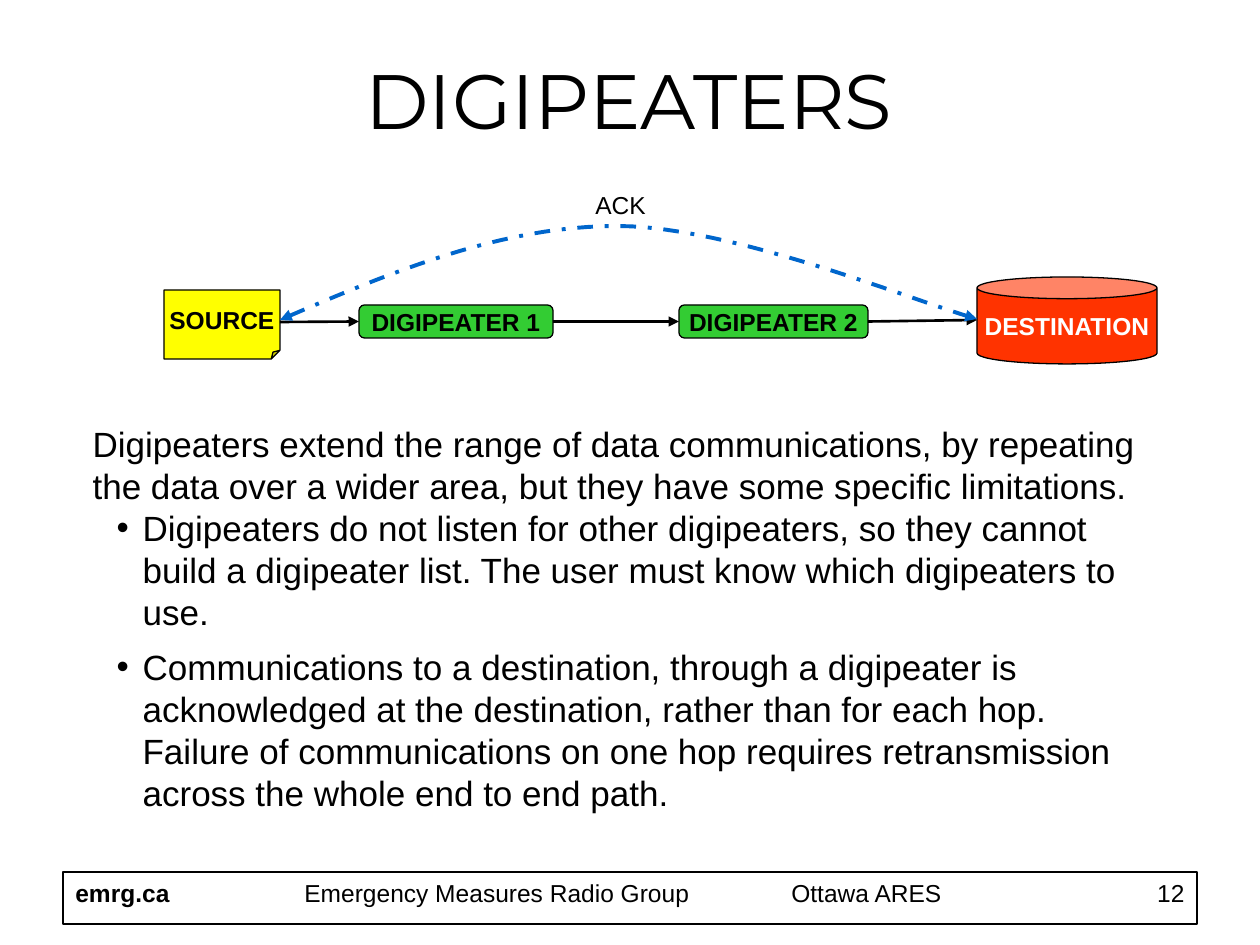
from lxml import etree
from pptx import Presentation
from pptx.dml.color import RGBColor
from pptx.enum.dml import MSO_LINE
from pptx.enum.shapes import MSO_CONNECTOR, MSO_SHAPE
from pptx.enum.text import MSO_ANCHOR, MSO_AUTO_SIZE, PP_ALIGN
from pptx.oxml.ns import qn
from pptx.util import Pt

EMU_PER_PX = 914400 / 126
LEFT, CENTER, RIGHT = PP_ALIGN.LEFT, PP_ALIGN.CENTER, PP_ALIGN.RIGHT
TOP, MIDDLE = MSO_ANCHOR.TOP, MSO_ANCHOR.MIDDLE
NO_AUTOFIT = MSO_AUTO_SIZE.NONE
STRAIGHT = MSO_CONNECTOR.STRAIGHT
DASH_DOT = MSO_LINE.DASH_DOT
RECTANGLE, ROUNDED = MSO_SHAPE.RECTANGLE, MSO_SHAPE.ROUNDED_RECTANGLE
CAN, FOLDED = MSO_SHAPE.CAN, MSO_SHAPE.FOLDED_CORNER
LEFT_SIDE, RIGHT_SIDE = 1, 3
CURVE_STEPS = 24

LABEL = {"name": "Arial", "size": Pt(14), "bold": False}
STRONG = {**LABEL, "bold": True}
BODY = {**LABEL, "size": Pt(20)}
HEADING = {**LABEL, "name": "Montserrat", "size": Pt(44)}

NODES = [
    ("SOURCE", FOLDED, (164, 290, 116, 69), "FFFF00", "000000"),
    ("DIGIPEATER 1", ROUNDED, (359, 305, 194, 33), "33CC33", "000000"),
    ("DIGIPEATER 2", ROUNDED, (679, 305, 189, 33), "33CC33", "000000"),
    ("DESTINATION", CAN, (977, 277, 180, 87), "FF3300", "FFFFFF"),
]
ACK_CURVES = [
    [(280, 320), (389, 273), (500, 226), (617, 226)],
    [(617, 226), (733, 226), (916, 302), (977, 319)],
]
INTRODUCTION = (
    "Digipeaters extend the range of data communications, by repeating the data "
    "over a wider area, but they have some specific limitations."
)
LISTENING = (
    "Digipeaters do not listen for other digipeaters, so they cannot build a "
    "digipeater list. The user must know which digipeaters to use."
)
ACKNOWLEDGEMENT = (
    "Communications to a destination, through a digipeater is acknowledged at the "
    "destination, rather than for each hop. Failure of communications on one hop "
    "requires retransmission across the whole end to end path."
)


def px(length):
    return round(length * EMU_PER_PX)


def color(value):
    return RGBColor.from_string(value)


def place(shape, box):
    for name, length in zip(("left", "top", "width", "height"), box):
        setattr(shape, name, px(length))


def set_frame(frame, anchor=TOP, wrap=True):
    values = {
        "auto_size": NO_AUTOFIT, "word_wrap": wrap, "vertical_anchor": anchor,
        "margin_left": px(12.6), "margin_right": px(12.6),
        "margin_top": px(6.3), "margin_bottom": px(6.3),
    }
    for name, value in values.items():
        setattr(frame, name, value)


def format_paragraph(paragraph, text, font, ink="000000", align=LEFT):
    paragraph.text = text
    paragraph.alignment = align
    paragraph.space_before = Pt(0)
    paragraph.line_spacing = 1.0
    for run in paragraph.runs:
        for name, value in font.items():
            setattr(run.font, name, value)
        run.font.color.rgb = color(ink)


def set_bullet(paragraph, bulleted):
    properties = paragraph._p.get_or_add_pPr()
    properties.set("marL", str(px(50 if bulleted else 0)))
    properties.set("indent", str(px(-26 if bulleted else 0)))
    if bulleted:
        paragraph.level = 1
        font = etree.SubElement(properties, qn("a:buFont"))
        font.set("typeface", "Arial")
        etree.SubElement(properties, qn("a:buChar")).set("char", "•")
    else:
        etree.SubElement(properties, qn("a:buNone"))


def fill_body(placeholder, box, items):
    place(placeholder, box)
    frame = placeholder.text_frame
    set_frame(frame)
    for index, (text, bulleted) in enumerate(items):
        paragraph = frame.add_paragraph() if index else frame.paragraphs[0]
        set_bullet(paragraph, bulleted)
        format_paragraph(paragraph, text, BODY)


def add_label(slide, box, text, font=LABEL, align=LEFT, wrap=True):
    shape = slide.shapes.add_textbox(*map(px, box))
    set_frame(shape.text_frame, wrap=wrap)
    paragraph = shape.text_frame.paragraphs[0]
    format_paragraph(paragraph, text, font, align=align)
    return paragraph


def add_node(slide, text, kind, box, fill, ink):
    shape = slide.shapes.add_shape(kind, *map(px, box))
    shape.shadow.inherit = False
    shape.fill.solid()
    shape.fill.fore_color.rgb = color(fill)
    set_line(shape.line, "000000", 0.75)
    set_frame(shape.text_frame, MIDDLE, False)
    format_paragraph(shape.text_frame.paragraphs[0], text, STRONG, ink, CENTER)
    return shape


def set_fold(shape, fraction):
    guides = shape._element.spPr.find(f"{qn('a:prstGeom')}/{qn('a:avLst')}")
    guide = etree.SubElement(guides, qn("a:gd"))
    guide.set("name", "adj")
    guide.set("fmla", f"val {round(fraction * 100000)}")


def set_line(line, ink, width, arrows=()):
    line.color.rgb = color(ink)
    line.width = Pt(width)
    for end in arrows:
        arrow = etree.SubElement(line._get_or_add_ln(), qn(f"a:{end}"))
        arrow.set("type", "triangle")


def add_arrow(slide, start, end, source=None, target=None):
    connector = slide.shapes.add_connector(STRAIGHT, *map(px, start + end))
    if source:
        connector.begin_connect(source, RIGHT_SIDE)
    if target:
        connector.end_connect(target, LEFT_SIDE)
    set_line(connector.line, "000000", 1.5, ["tailEnd"])
    etree.SubElement(connector._element.spPr, qn("a:effectLst"))


def curve_point(curve, t):
    weights = ((1 - t) ** 3, 3 * t * (1 - t) ** 2, 3 * t * t * (1 - t), t ** 3)
    return tuple(
        px(sum(weight * value for weight, value in zip(weights, axis)))
        for axis in zip(*curve)
    )


def add_acknowledgement(slide):
    start = curve_point(ACK_CURVES[0], 0)
    builder = slide.shapes.build_freeform(*start)
    builder.add_line_segments(
        [curve_point(curve, step / CURVE_STEPS)
         for curve in ACK_CURVES for step in range(1, CURVE_STEPS + 1)],
        close=False,
    )
    shape = builder.convert_to_shape()
    shape.shadow.inherit = False
    shape.fill.background()
    shape.line.dash_style = DASH_DOT
    set_line(shape.line, "0066CC", 2.25, ["headEnd", "tailEnd"])
    add_label(slide, (583, 184, 76, 43), "ACK", wrap=False)


def add_footer(slide):
    border = slide.shapes.add_shape(RECTANGLE, *map(px, (63, 872, 1134, 52)))
    border.shadow.inherit = False
    border.fill.background()
    set_line(border.line, "000000", 1)
    add_label(slide, (63, 872, 127, 43), "emrg.ca", STRONG)
    group = add_label(slide, (292, 872, 748, 54),
                      "Emergency Measures Radio Group\tOttawa ARES")
    tabs = etree.SubElement(group._p.get_or_add_pPr(), qn("a:tabLst"))
    tab = etree.SubElement(tabs, qn("a:tab"))
    tab.set("pos", str(px(487)))
    tab.set("algn", "l")
    add_label(slide, (1047, 872, 150, 54), "12", align=RIGHT)


def main():
    presentation = Presentation()
    presentation.slide_width, presentation.slide_height = px(1260), px(945)
    slide = presentation.slides.add_slide(presentation.slide_layouts[3])
    title, explanation, consequence = slide.placeholders
    place(title, (62, 20, 1134, 158))
    set_frame(title.text_frame, MIDDLE)
    format_paragraph(title.text_frame.paragraphs[0], "DIGIPEATERS", HEADING,
                     align=CENTER)
    fill_body(explanation, (80, 416, 1095, 223),
              [(INTRODUCTION, False), (LISTENING, True)])
    fill_body(consequence, (80, 639, 1095, 181), [(ACKNOWLEDGEMENT, True)])
    add_footer(slide)
    source, first, second, _ = [add_node(slide, *node) for node in NODES]
    set_fold(source, 0.125)
    add_arrow(slide, (280, 322), (359, 321), target=first)
    add_arrow(slide, (553, 321), (679, 321), first, second)
    add_arrow(slide, (868, 321), (977, 320), source=second)
    add_acknowledgement(slide)
    presentation.save("out.pptx")


if __name__ == "__main__":
    main()
